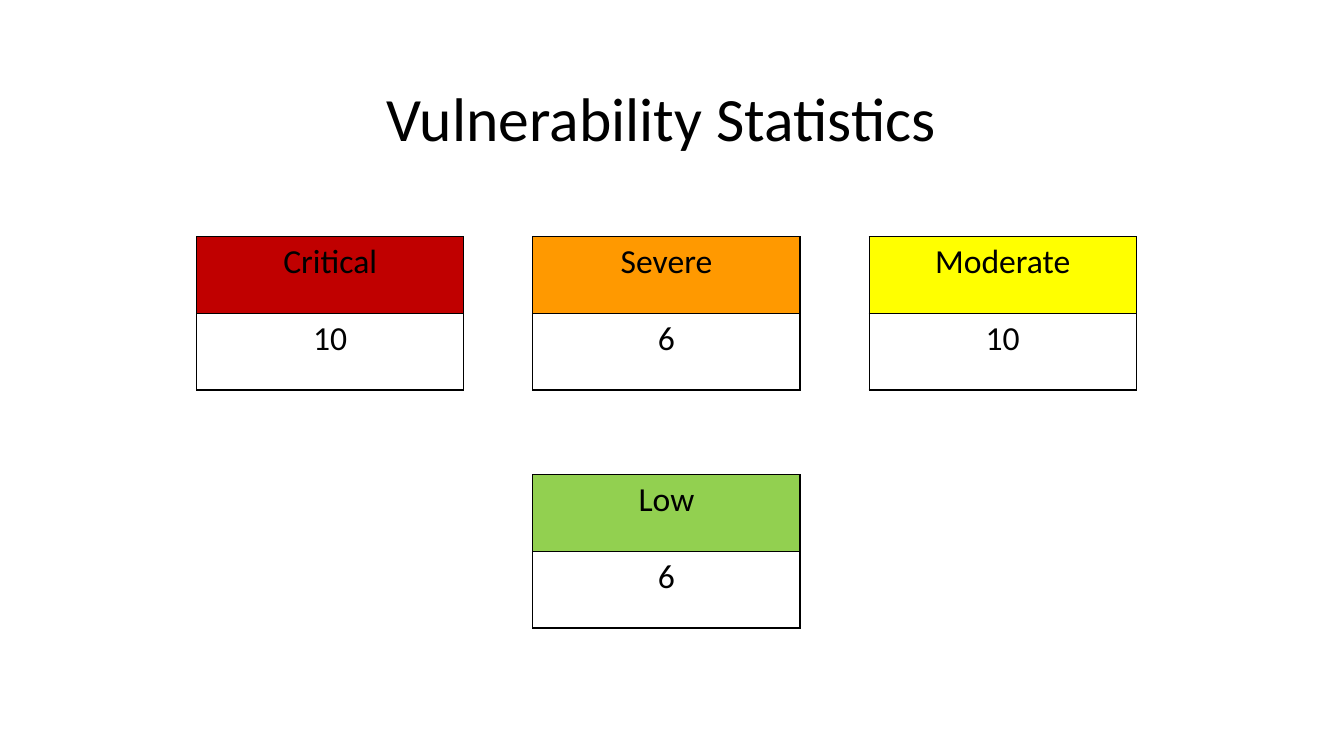
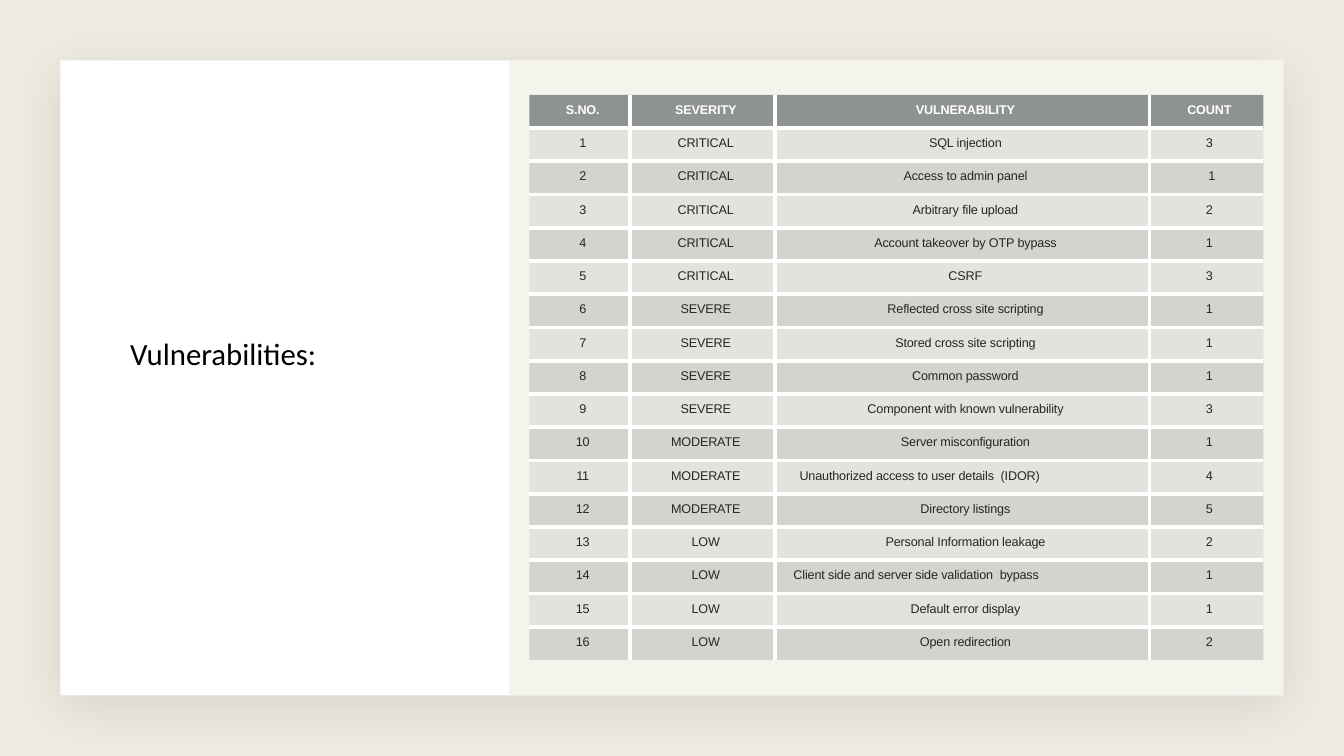
"""Build two slides on vulnerability statistics: severity totals and the detailed list."""
from pptx import Presentation
from pptx.dml.color import RGBColor
from pptx.enum.shapes import MSO_SHAPE
from pptx.enum.text import MSO_ANCHOR, MSO_AUTO_SIZE, PP_ALIGN
from pptx.oxml import parse_xml
from pptx.oxml.ns import nsdecls, qn
from pptx.util import Inches, Pt

SLIDE_WIDTH, SLIDE_HEIGHT = 13.33, 7.5
TITLE_FONT, TABLE_FONT = "Calibri", "Arial"
BLACK = RGBColor(0x00, 0x00, 0x00)
WHITE = RGBColor(0xFF, 0xFF, 0xFF)
GREY = RGBColor(0xF2, 0xF2, 0xF2)
GOLD = RGBColor(0xBF, 0x90, 0x00)
HEADER_FILL = RGBColor(0x63, 0x6B, 0x68)
ROW_FILL = RGBColor(0x87, 0x8E, 0x8B)
ROW_TEXT = RGBColor(0x26, 0x26, 0x26)

SEVERITIES = [
    ("Critical", RGBColor(0xC0, 0x00, 0x00), (0, 0)),
    ("Severe", RGBColor(0xFF, 0x99, 0x00), (1, 0)),
    ("Moderate", RGBColor(0xFF, 0xFF, 0x00), (2, 0)),
    ("Low", RGBColor(0x92, 0xD0, 0x50), (1, 1)),
]
HEADINGS = ("S.NO.", "SEVERITY", "VULNERABILITY", "COUNT")
VULNERABILITIES = {
    "CRITICAL": [
        ("SQL injection", 3),
        ("Access to admin panel", 1),
        ("Arbitrary file upload", 2),
        ("Account takeover by OTP bypass", 1),
        ("CSRF", 3),
    ],
    "SEVERE": [
        ("Reflected cross site scripting", 1),
        ("Stored cross site scripting", 1),
        ("Common password", 1),
        ("Component with known vulnerability", 3),
    ],
    "MODERATE": [
        ("Server misconfiguration", 1),
        ("Unauthorized access to user details  (IDOR)", 4),
        ("Directory listings", 5),
    ],
    "LOW": [
        ("Personal Information leakage", 2),
        ("Client side and server side validation  bypass", 1),
        ("Default error display", 1),
        ("Open redirection", 2),
    ],
}
INDENTS = {(2, 3): 0.05, (11, 2): 0.1, (14, 2): 0.04}
LEFT_ALIGNED = {(11, 2), (14, 2)}

TOTAL_LEFT, TOTAL_TOP = 1.95, 2.35
TOTAL_WIDTH, TOTAL_ROW = 2.65, 0.76
TOTAL_PITCH = (3.335, 2.36)
CARD_MARGIN, PANEL_LEFT = 0.6, 5.05
CARD = (CARD_MARGIN, CARD_MARGIN, SLIDE_WIDTH - 2 * CARD_MARGIN, SLIDE_HEIGHT - 2 * CARD_MARGIN)
PANEL = (PANEL_LEFT, CARD_MARGIN, SLIDE_WIDTH - CARD_MARGIN - PANEL_LEFT, CARD[3])
LIST_LEFT, LIST_TOP, LIST_ROW = 5.25, 0.94, 0.33
LIST_COLUMNS = (1, 1.44, 3.71, 1.13)


def inches(box):
    return [Inches(length) for length in box]


def paint(item, color, opacity=100):
    item.fill.solid()
    item.fill.fore_color.rgb = color
    if opacity < 100:
        properties = item.fill._xPr
        color_element = properties.find(qn("a:solidFill"))[0]
        color_element.append(parse_xml(f'<a:alpha {nsdecls("a")} val="{opacity * 1000}"/>'))


def add_block(shapes, box, color, opacity=100):
    block = shapes.add_shape(MSO_SHAPE.RECTANGLE, *inches(box))
    block.shadow.inherit = False
    block.line.fill.background()
    paint(block, color, opacity)
    return block


def add_layers(page, box, layers):
    group = page.shapes.add_group_shape()
    for color, opacity in layers:
        add_block(group.shapes, box, color, opacity)


def set_title(page, text, box, size, anchor, align):
    title = page.shapes.title
    title.left, title.top, title.width, title.height = inches(box)
    frame = title.text_frame
    frame.text = text
    frame.word_wrap = True
    frame.auto_size = MSO_AUTO_SIZE.NONE
    frame.vertical_anchor = anchor
    para = frame.paragraphs[0]
    para.alignment = align
    para.line_spacing = 0.9
    format_font(para.runs[0].font, TITLE_FONT, size, BLACK)
    return title


def format_font(font, name, size, color, bold=False):
    font.name, font.size, font.bold = name, Pt(size), bold
    font.color.rgb = color


def set_borders(cell, sides, color, points):
    properties = cell._tc.get_or_add_tcPr()
    for index, side in enumerate("LRTB"):
        fill = f'<a:solidFill><a:srgbClr val="{color}"/></a:solidFill>' if side in sides else "<a:noFill/>"
        properties.insert(index, parse_xml(f'<a:ln{side} {nsdecls("a")} w="{Pt(points)}">{fill}</a:ln{side}>'))


def add_grid(page, left, top, columns, row_height, rows):
    box = (left, top, sum(columns), row_height * len(rows))
    table = page.shapes.add_table(len(rows), len(columns), *inches(box)).table
    table.horz_banding = False
    for column, width in zip(table.columns, columns):
        column.width = Inches(width)
    for row, values in zip(table.rows, rows):
        row.height = Inches(row_height)
        for cell, value in zip(row.cells, values):
            cell.text = str(value)
            cell.text_frame.paragraphs[0].alignment = PP_ALIGN.CENTER
    return table


def build_statistics(page):
    set_title(page, "Vulnerability Statistics", (1.86, 0.49, 9.4, 1.44), 44, MSO_ANCHOR.MIDDLE, PP_ALIGN.CENTER)
    for name, color, (column, row) in SEVERITIES:
        total = sum(count for _, count in VULNERABILITIES[name.upper()])
        left = TOTAL_LEFT + column * TOTAL_PITCH[0]
        top = TOTAL_TOP + row * TOTAL_PITCH[1]
        table = add_grid(page, left, top, [TOTAL_WIDTH], TOTAL_ROW, [[name], [total]])
        for cell in table.iter_cells():
            format_font(cell.text_frame.paragraphs[0].runs[0].font, TITLE_FONT, 24, BLACK)
            cell.fill.background()
            set_borders(cell, "LRTB", BLACK, 1)
        paint(table.cell(0, 0), color)


def style_list_cell(cell, row, column, last_row):
    if row == 0:
        paint(cell, HEADER_FILL, 70)
    else:
        paint(cell, ROW_FILL, 15 if row % 2 else 30)
    edges = {"L": column > 0, "R": column < len(LIST_COLUMNS) - 1, "T": row > 0, "B": row < last_row}
    set_borders(cell, [side for side, inner in edges.items() if inner], WHITE, 3)
    cell.margin_left = Inches(0.14)
    cell.margin_right = cell.margin_top = cell.margin_bottom = Inches(0.08)
    para = cell.text_frame.paragraphs[0]
    if (row, column) in LEFT_ALIGNED:
        para.alignment = PP_ALIGN.LEFT
    if (row, column) in INDENTS:
        para._p.get_or_add_pPr().set("marL", str(Inches(INDENTS[row, column])))
    span = para.runs[0]
    format_font(span.font, TABLE_FONT, 9, ROW_TEXT if row else WHITE, bold=row == 0)
    if len(span.text) > 1:
        span._r.get_or_add_rPr().set("spc", "-10")


def build_list(page):
    tint = [(GREY, 100), (GOLD, 7)]
    add_layers(page, (0, 0, SLIDE_WIDTH, SLIDE_HEIGHT), tint)
    card = add_block(page.shapes, CARD, WHITE)
    effects = card._element.spPr.find(qn("a:effectLst"))
    effects.append(parse_xml(
        f'<a:outerShdw {nsdecls("a")} blurRad="{Pt(40)}" dist="{Pt(8)}" dir="5400000" algn="t" rotWithShape="0">'
        f'<a:srgbClr val="{BLACK}"><a:alpha val="10000"/></a:srgbClr></a:outerShdw>'))
    title = set_title(page, "Vulnerabilities:", (1.19, 1.19, 3.23, 2.55), 22, MSO_ANCHOR.BOTTOM, PP_ALIGN.LEFT)
    card._element.addnext(title._element)
    add_layers(page, PANEL, tint + [(WHITE, 40)])

    findings = [(severity, *entry) for severity, entries in VULNERABILITIES.items() for entry in entries]
    rows = [HEADINGS] + [(number, *finding) for number, finding in enumerate(findings, 1)]
    table = add_grid(page, LIST_LEFT, LIST_TOP, LIST_COLUMNS, LIST_ROW, rows)
    for row in range(len(rows)):
        for column in range(len(LIST_COLUMNS)):
            style_list_cell(table.cell(row, column), row, column, len(rows) - 1)


def main():
    deck = Presentation()
    deck.slide_width, deck.slide_height = Inches(SLIDE_WIDTH), Inches(SLIDE_HEIGHT)
    for build in (build_statistics, build_list):
        build(deck.slides.add_slide(deck.slide_layouts[5]))
    deck.save("out.pptx")


if __name__ == "__main__":
    main()
